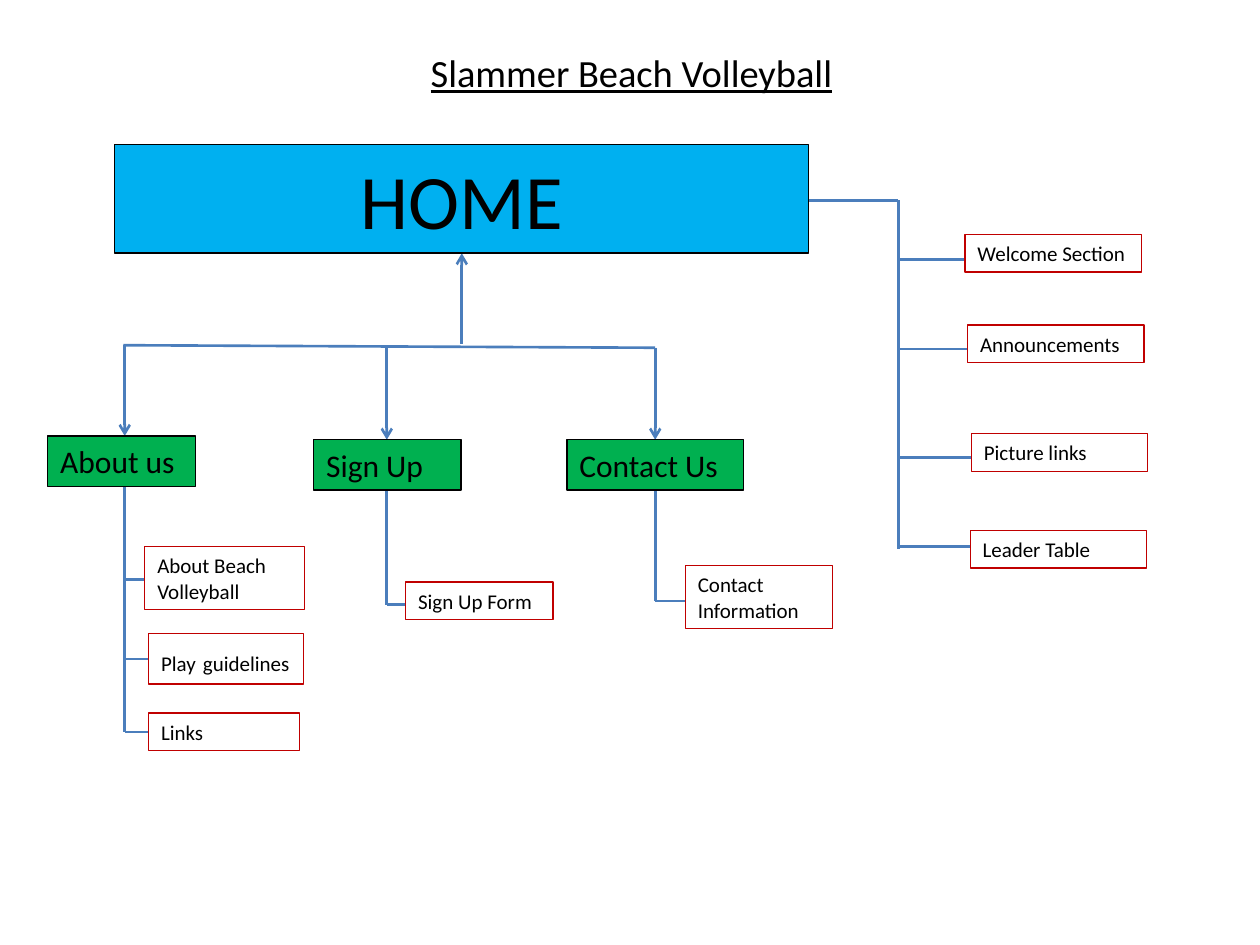
from dataclasses import dataclass

from lxml import etree
from pptx import Presentation
from pptx.dml.color import RGBColor
from pptx.enum.shapes import MSO_CONNECTOR, MSO_SHAPE
from pptx.enum.text import MSO_ANCHOR, MSO_AUTO_SIZE, PP_ALIGN
from pptx.oxml.ns import qn
from pptx.util import Inches, Pt

RECTANGLE = MSO_SHAPE.RECTANGLE
STRAIGHT = MSO_CONNECTOR.STRAIGHT
TOP, MIDDLE = MSO_ANCHOR.TOP, MSO_ANCHOR.MIDDLE
LEFT, CENTER = PP_ALIGN.LEFT, PP_ALIGN.CENTER
FIT_SHAPE = MSO_AUTO_SIZE.SHAPE_TO_FIT_TEXT


@dataclass(frozen=True)
class Theme:
    font: str = "Calibri"
    ink: str = "000000"
    paper: str = "FFFFFF"
    home: str = "00B0F0"
    section: str = "00B050"
    leaf_edge: str = "C00000"
    link: str = "4B7EBC"
    home_size: int = 44
    title_size: int = 22
    section_size: int = 18
    leaf_size: int = 12
    edge_width: float = 0.75
    link_width: float = 1.5


THEME = Theme()


def color(code):
    return RGBColor.from_string(code)


def style_font(font, size):
    font.name = THEME.font
    font.size = Pt(size)
    font.color.rgb = color(THEME.ink)


def add_link(page, start, end, arrow=False):
    link = page.shapes.add_connector(STRAIGHT, *[Inches(value) for value in (*start, *end)])
    link.line.color.rgb = color(THEME.link)
    link.line.width = Pt(THEME.link_width)
    if arrow:
        etree.SubElement(link.line._get_or_add_ln(), qn("a:tailEnd"), type="arrow")
    etree.SubElement(link._element.spPr, qn("a:effectLst"))


def add_box(page, box, text, fill, edge, size, align=LEFT, anchor=TOP):
    shape = page.shapes.add_shape(RECTANGLE, *[Inches(value) for value in box])
    shape.shadow.inherit = False
    shape.fill.solid()
    shape.fill.fore_color.rgb = color(fill)
    shape.line.color.rgb = color(edge)
    shape.line.width = Pt(THEME.edge_width)
    frame = shape.text_frame
    frame.word_wrap = True
    frame.vertical_anchor = anchor
    if anchor == TOP:
        frame.auto_size = FIT_SHAPE
    para = frame.paragraphs[0]
    para.alignment = align
    style_font(para.font, size)
    for piece, piece_size in [(text, None)] if isinstance(text, str) else text:
        span = para.add_run()
        span.text = piece
        if piece_size:
            span.font.size = Pt(piece_size)


def add_title(page, box, text):
    title = page.shapes.add_textbox(*[Inches(value) for value in box])
    frame = title.text_frame
    frame.word_wrap = True
    frame.auto_size = FIT_SHAPE
    para = frame.paragraphs[0]
    para.text = text
    style_font(para.font, THEME.title_size)
    para.font.underline = True


def add_leaves(page, trunk, leaves):
    for link_y, box, text in leaves:
        add_link(page, (trunk, link_y), (box[0], link_y))
        add_box(page, box, text, THEME.paper, THEME.leaf_edge, THEME.leaf_size)


def add_home(page, box, rail):
    left, top, width, height = box
    center, bottom = left + width / 2, top + height
    add_link(page, (center, rail), (center, bottom), arrow=True)
    add_box(page, box, "HOME", THEME.home, THEME.ink, THEME.home_size, CENTER, MIDDLE)


def add_section(page, box, name, trunk, rail, leaves):
    left, top, width, height = box
    stem = left + trunk
    placed = [
        (top + link_y, (left + x, top + y, w, h), text)
        for link_y, (x, y, w, h), text in leaves
    ]
    add_link(page, (stem, rail), (stem, top), arrow=True)
    add_link(page, (stem, top + height), (stem, placed[-1][0]))
    add_leaves(page, stem, placed)
    add_box(page, box, name, THEME.section, THEME.ink, THEME.section_size)


def add_sidebar(page, box, home_right, items):
    trunk, top, width, height = box
    add_link(page, (home_right, top), (trunk, top))
    add_link(page, (trunk, top), (trunk, top + height))
    leaves = [
        (top + link_y, (trunk + x, top + y, 1.4, 0.3), text)
        for link_y, x, y, text in items
    ]
    add_leaves(page, trunk, leaves)


GUIDELINES = [("Play", None), (" ", THEME.section_size), ("guidelines", None)]
SECTIONS = [
    ((0.38, 3.46, 1.17, 0.4), "About us", 0.61, 2.74, [
        (1.14, (0.77, 0.88, 1.27, 0.5), "About Beach Volleyball"),
        (1.77, (0.8, 1.57, 1.23, 0.4), GUIDELINES),
        (2.35, (0.8, 2.2, 1.2, 0.3), "Links"),
    ]),
    ((2.49, 3.49, 1.17, 0.4), "Sign Up", 0.58, 2.76, [
        (1.31, (0.73, 1.13, 1.17, 0.3), "Sign Up Form"),
    ]),
    ((4.5, 3.49, 1.4, 0.4), "Contact Us", 0.7, 2.76, [
        (1.28, (0.94, 1.0, 1.17, 0.5), "Contact Information"),
    ]),
]
SIDEBAR = [
    (0.47, 0.53, 0.27, "Welcome Section"),
    (1.18, 0.55, 0.99, "Announcements"),
    (2.04, 0.58, 1.85, "Picture links"),
    (2.75, 0.57, 2.62, "Leader Table"),
]

deck = Presentation()
deck.slide_width, deck.slide_height = Inches(10), Inches(7.5)
page = deck.slides.add_slide(deck.slide_layouts[6])

add_title(page, (3.32, 0.34, 3.76, 0.47), "Slammer Beach Volleyball")
add_home(page, (0.91, 1.15, 5.51, 0.86), 2.73)
add_link(page, (0.98, 2.74), (5.2, 2.76))
for section in SECTIONS:
    add_section(page, *section)
add_sidebar(page, (7.13, 1.59, 1.98, 2.77), 6.42, SIDEBAR)

deck.save("out.pptx")
